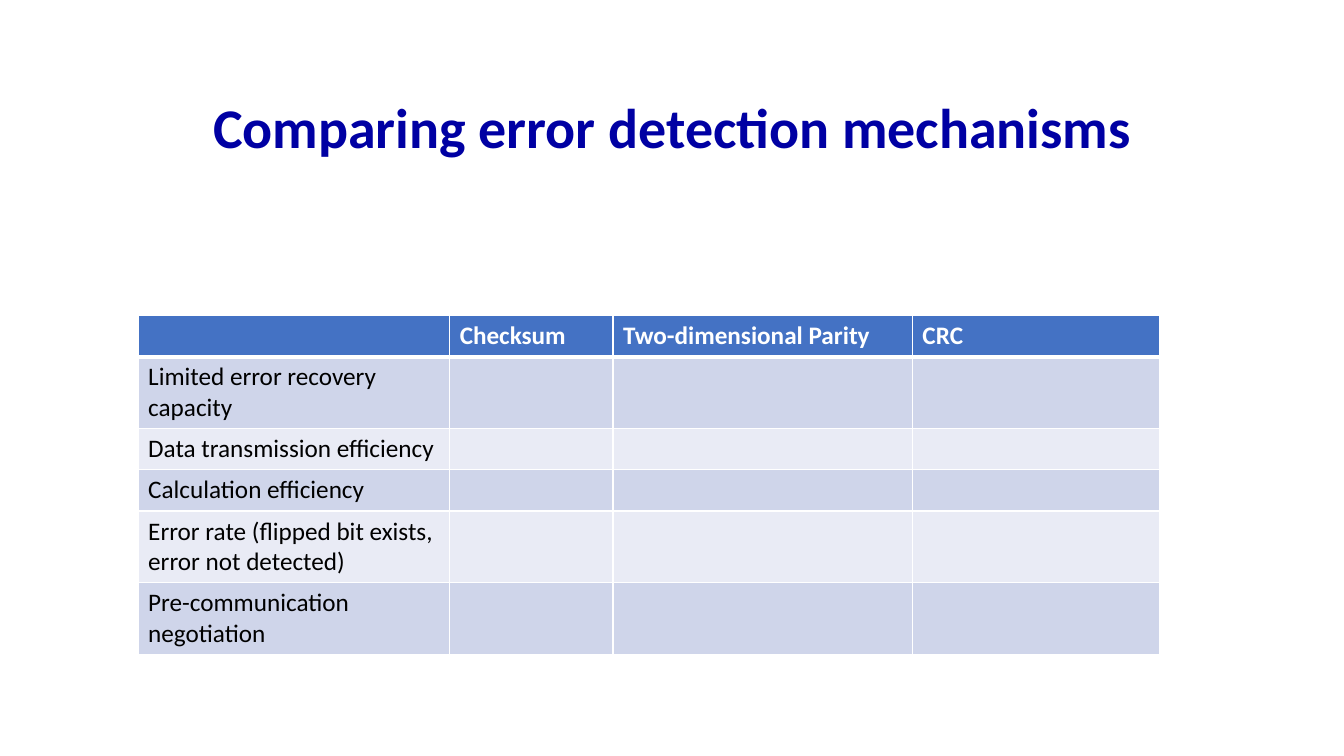
from lxml import etree
from pptx import Presentation
from pptx.dml.color import RGBColor
from pptx.enum.text import MSO_ANCHOR, PP_ALIGN
from pptx.oxml.ns import qn
from pptx.util import Inches, Pt

CENTER, LEFT = PP_ALIGN.CENTER, PP_ALIGN.LEFT
MIDDLE = MSO_ANCHOR.MIDDLE
FONT = "Calibri"
TITLE_ONLY = 5

NAVY = RGBColor(0x00, 0x00, 0xA3)
BLUE = RGBColor(0x44, 0x72, 0xC4)
BAND_DARK = RGBColor(0xCF, 0xD5, 0xEA)
BAND_LIGHT = RGBColor(0xE9, 0xEB, 0xF5)
WHITE = RGBColor(0xFF, 0xFF, 0xFF)
BLACK = RGBColor(0x00, 0x00, 0x00)

MECHANISMS = ["", "Checksum", "Two-dimensional Parity", "CRC"]
COLUMN_WIDTHS = [3.09, 1.62, 2.97, 2.45]
ONE_LINE, TWO_LINES = 0.41, 0.7
CRITERIA = [
    ("Limited error recovery capacity", TWO_LINES),
    ("Data transmission efficiency", ONE_LINE),
    ("Calculation efficiency", ONE_LINE),
    ("Error rate (flipped bit exists, error not detected)", TWO_LINES),
    ("Pre-communication negotiation", TWO_LINES),
]


def write_text(frame, text, size=18, color=BLACK, bold=False, align=LEFT, spacing=1.0):
    para = frame.paragraphs[0]
    para.alignment = align
    para.line_spacing = spacing
    para.font.size = Pt(size)
    if text:
        span = para.add_run()
        span.text = text
        span.font.name = FONT
        span.font.size = Pt(size)
        span.font.bold = bold
        span.font.color.rgb = color


def add_title(page, text):
    title = page.shapes.title
    title.left, title.top = Inches(1), Inches(0.67)
    title.width, title.height = Inches(11.33), Inches(1.25)
    title.text_frame.vertical_anchor = MIDDLE
    write_text(title.text_frame, text, size=40, color=NAVY, bold=True,
               align=CENTER, spacing=0.9)


def set_borders(cell, top=1, bottom=1):
    properties = cell._tc.get_or_add_tcPr()
    for side, width in (("L", 1), ("R", 1), ("T", top), ("B", bottom)):
        line = etree.SubElement(properties, qn(f"a:ln{side}"), w=str(Pt(width)))
        fill = etree.SubElement(line, qn("a:solidFill"))
        etree.SubElement(fill, qn("a:srgbClr"), val=str(WHITE))


def format_cell(cell, text, fill, top=1, bottom=1, **text_format):
    set_borders(cell, top, bottom)
    cell.fill.solid()
    cell.fill.fore_color.rgb = fill
    write_text(cell.text_frame, text, **text_format)


def add_comparison(page):
    heights = [ONE_LINE] + [height for _, height in CRITERIA]
    table = page.shapes.add_table(
        len(heights), len(MECHANISMS), Inches(1.37), Inches(3.13),
        Inches(sum(COLUMN_WIDTHS)), Inches(sum(heights))).table
    for column, width in zip(table.columns, COLUMN_WIDTHS):
        column.width = Inches(width)
    for row, height in zip(table.rows, heights):
        row.height = Inches(height)

    # Header row
    for column, mechanism in enumerate(MECHANISMS):
        format_cell(table.cell(0, column), mechanism, BLUE, bottom=3,
                    color=WHITE, bold=True)

    # Banded rows, left open for answers
    for row, (criterion, _) in enumerate(CRITERIA, start=1):
        band = BAND_DARK if row % 2 else BAND_LIGHT
        for column in range(len(MECHANISMS)):
            format_cell(table.cell(row, column), "" if column else criterion,
                        band, top=3 if row == 1 else 1)


def main():
    deck = Presentation()
    deck.slide_width, deck.slide_height = Inches(13.33), Inches(7.5)
    page = deck.slides.add_slide(deck.slide_layouts[TITLE_ONLY])
    add_title(page, "Comparing error detection mechanisms")
    add_comparison(page)
    deck.save("out.pptx")


if __name__ == "__main__":
    main()
